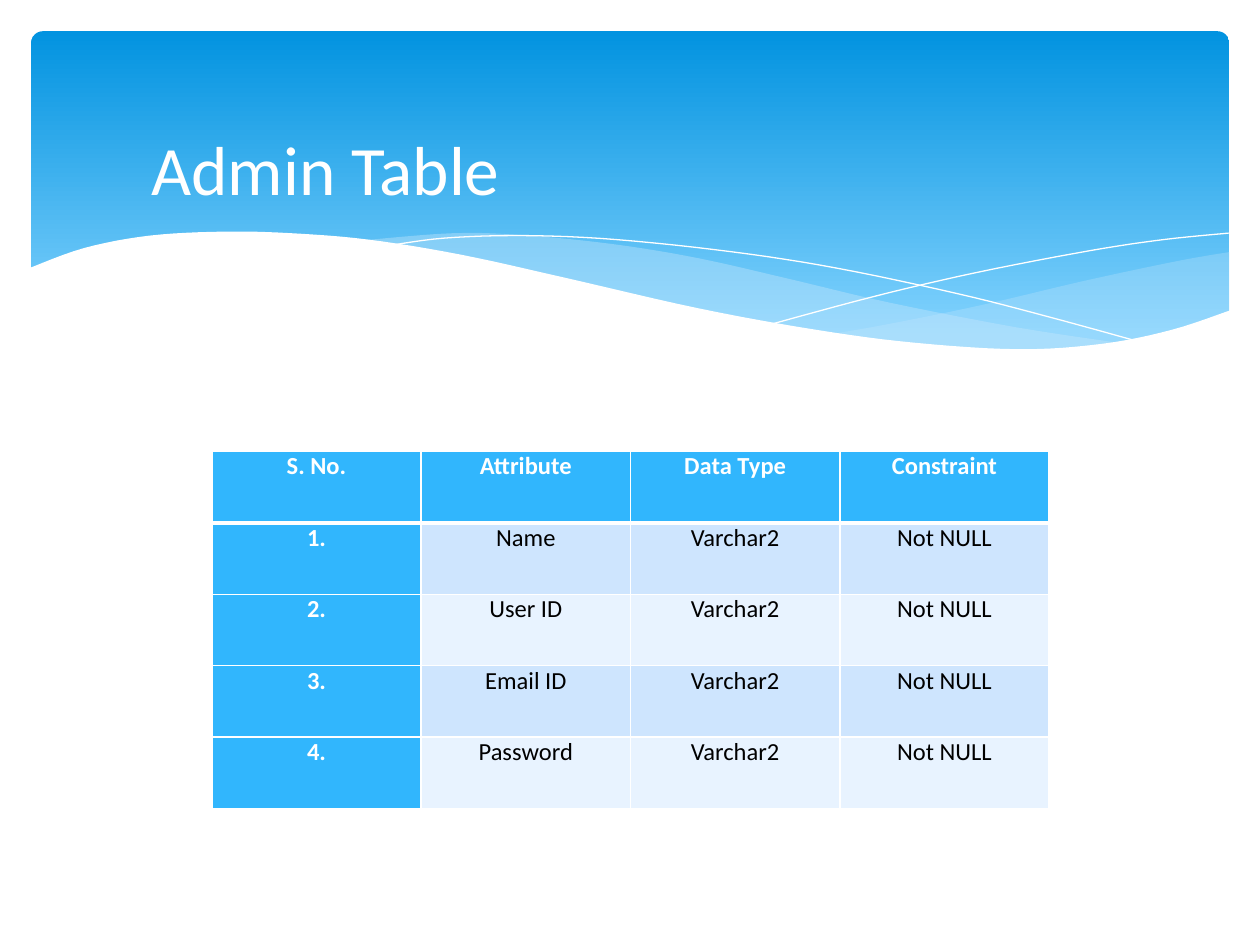
import lxml.etree
import pptx
import pptx.dml.color
import pptx.enum.shapes
import pptx.enum.text
import pptx.oxml.ns
import pptx.util

Cm = pptx.util.Cm
Pt = pptx.util.Pt
qn = pptx.oxml.ns.qn


def rgb(value):
    return pptx.dml.color.RGBColor.from_string(value)


def write(frame, text, *, size, color, font="Calibri", bold=False):
    paragraph = frame.paragraphs[0]
    paragraph.alignment = pptx.enum.text.PP_ALIGN.CENTER
    run = paragraph.add_run()
    run.text = text
    run.font.name = font
    run.font.size = Pt(size)
    run.font.bold = bold
    run.font.color.rgb = rgb(color)


def curve(knots, steps=6):
    padded = [knots[0], *knots, knots[-1]]
    points = [knots[0]]
    for a, b, c, d in zip(padded, padded[1:], padded[2:], padded[3:]):
        for step in range(1, steps + 1):
            t = step / steps
            points.append(tuple(
                (2 * q + (r - p) * t + (2 * p - 5 * q + 4 * r - s) * t ** 2
                 + (3 * q - p - 3 * r + s) * t ** 3) / 2
                for p, q, r, s in zip(a, b, c, d)))
    return points


class WaveSlide:
    white = "FFFFFF"
    black = "000000"
    accent = "31B6FD"
    veil = "C6E7FC"
    bands = ("CEE5FE", "E8F3FF")
    sky = ((0, "0293E0"), (0.9, "83D3FE"))

    def __init__(self, presentation):
        self.slide = presentation.slides.add_slide(presentation.slide_layouts[5])

    def banner(self, left, top, width, height):
        banner = self.slide.shapes.add_shape(
            pptx.enum.shapes.MSO_SHAPE.ROUNDED_RECTANGLE,
            Cm(left), Cm(top), Cm(width), Cm(height))
        banner.adjustments[0] = 0.034
        banner.shadow.inherit = False
        banner.line.fill.background()
        banner.fill.gradient()
        banner.fill.gradient_angle = 270
        for stop, (position, color) in zip(banner.fill.gradient_stops, self.sky):
            stop.position = position
            stop.color.rgb = rgb(color)

    def outline(self, points, close):
        corners = [(Cm(x), Cm(y)) for x, y in points]
        builder = self.slide.shapes.build_freeform(*corners[0])
        builder.add_line_segments(corners[1:], close=close)
        outline = builder.convert_to_shape()
        outline.shadow.inherit = False
        return outline

    def area(self, points, color, alpha=100):
        area = self.outline(points, True)
        area.line.fill.background()
        area.fill.solid()
        area.fill.fore_color.rgb = rgb(color)
        if alpha < 100:
            tint = area.fill._xPr.find(".//" + qn("a:srgbClr"))
            lxml.etree.SubElement(tint, qn("a:alpha"), val=str(alpha * 1000))

    def thread(self, points):
        thread = self.outline(points, False)
        thread.fill.background()
        thread.line.color.rgb = rgb(self.white)
        thread.line.width = Pt(0)

    def title(self, text, left, top, width, height):
        title = self.slide.shapes.title
        title.left, title.top = Cm(left), Cm(top)
        title.width, title.height = Cm(width), Cm(height)
        title.text_frame.vertical_anchor = pptx.enum.text.MSO_ANCHOR.MIDDLE
        write(title.text_frame, text, size=39.6, color=self.white)
        self.slide.shapes._spTree.append(title._element)

    def borders(self, cell, **widths):
        properties = cell._tc.get_or_add_tcPr()
        for index, side in enumerate("LRTB"):
            edge = lxml.etree.Element(
                qn("a:ln" + side), w=str(Pt(widths.get(side, 1))))
            fill = lxml.etree.SubElement(edge, qn("a:solidFill"))
            lxml.etree.SubElement(fill, qn("a:srgbClr"), val=self.white)
            properties.insert(index, edge)

    def table(self, rows, left, top, column_width, row_height):
        table = self.slide.shapes.add_table(
            len(rows), len(rows[0]), Cm(left), Cm(top),
            Cm(column_width * len(rows[0])), Cm(row_height * len(rows))).table
        for column in table.columns:
            column.width = Cm(column_width)
        for r, values in enumerate(rows):
            table.rows[r].height = Cm(row_height)
            for c, value in enumerate(values):
                cell = table.cell(r, c)
                heading = r == 0 or c == 0
                cell.margin_left = cell.margin_right = Cm(0.18)
                cell.margin_top = cell.margin_bottom = 0
                self.borders(cell, B=3 if r == 0 else 1, T=3 if r == 1 else 1)
                cell.fill.solid()
                cell.fill.fore_color.rgb = rgb(
                    self.accent if heading else self.bands[(r - 1) % 2])
                write(cell.text_frame, value, size=14, bold=heading,
                      color=self.white if heading else self.black)


RIGHT_VEIL_TOP = [(24.79, 5.08), (23.75, 5.26), (21.87, 5.66), (19.79, 6.15),
                  (17.93, 6.53), (16.79, 6.73)]
RIGHT_VEIL_BASE = [(16.79, 6.73), (17.91, 6.88), (19.23, 7.01), (20.68, 7.06),
                   (22.15, 6.96), (23.57, 6.68), (24.79, 6.27)]
LEFT_VEIL_TOP = [(22.68, 6.93), (20.5, 6.6), (17.93, 6.1), (15.98, 5.64), (14.1, 5.21),
                 (12.42, 4.93), (10.67, 4.75), (9.17, 4.7), (7.26, 4.85)]
LEFT_VEIL_BASE = [(7.26, 4.85), (9.19, 5.16), (11.4, 5.64), (13.46, 6.1), (15.27, 6.48),
                  (17.27, 6.81), (19, 7.01), (20.78, 7.06), (22.68, 6.93)]
FALLING_THREAD = [(7.85, 4.95), (8.97, 4.8), (10.57, 4.75), (12.42, 4.83), (14.78, 5.08),
                  (16.89, 5.41), (19.3, 5.92), (21.11, 6.38), (23.04, 6.91)]
RISING_THREAD = [(15.57, 6.53), (17.65, 5.97), (19.71, 5.49), (22, 5.05),
                 (23.47, 4.83), (24.77, 4.7)]
WAVE_TOP = [(24.82, 6.25), (23.62, 6.65), (22.23, 6.93), (20.55, 7.04), (18.44, 6.91),
            (16.46, 6.65), (14.1, 6.22), (11.35, 5.59), (9.27, 5.13), (7.42, 4.83),
            (5.84, 4.7), (4.5, 4.67), (3.02, 4.75), (1.7, 5), (0.58, 5.41)]
WAVE_BASE = [(0.58, 8.36), (24.82, 8.36)]

ATTRIBUTES = ["Name", "User ID", "Email ID", "Password"]


def main():
    presentation = pptx.Presentation()
    presentation.slide_width, presentation.slide_height = Cm(25.4), Cm(19.05)
    admin = WaveSlide(presentation)
    admin.banner(0.63, 0.63, 24.15, 6.86)
    admin.area(curve(RIGHT_VEIL_TOP) + curve(RIGHT_VEIL_BASE), admin.veil, 29)
    admin.area(curve(LEFT_VEIL_TOP) + curve(LEFT_VEIL_BASE), admin.veil, 40)
    admin.thread(curve(FALLING_THREAD))
    admin.thread(curve(RISING_THREAD))
    admin.area(curve(WAVE_TOP) + WAVE_BASE, admin.white)
    rows = [["S. No.", "Attribute", "Data Type", "Constraint"]]
    rows += [[f"{number}.", attribute, "Varchar2", "Not NULL"]
             for number, attribute in enumerate(ATTRIBUTES, 1)]
    admin.table(rows, 4.27, 9.1, 4.22, 1.44)
    admin.title("Admin Table", 1.27, 2.34, 10.59, 2.08)
    presentation.save("out.pptx")


if __name__ == "__main__":
    main()
